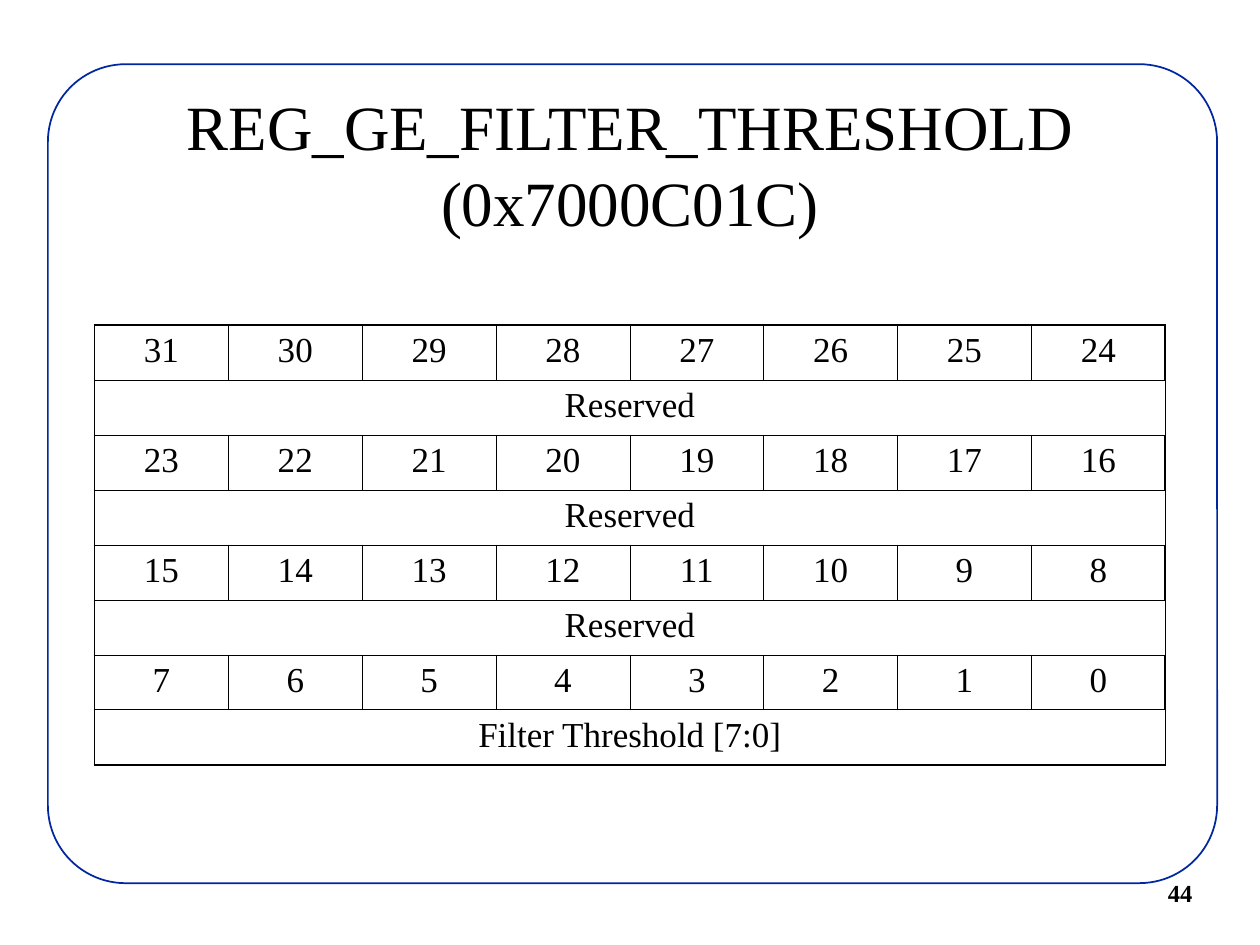
from lxml.etree import SubElement
from pptx import Presentation
from pptx.dml.color import RGBColor
from pptx.enum.shapes import MSO_SHAPE
from pptx.enum.text import MSO_ANCHOR, MSO_AUTO_SIZE, PP_ALIGN
from pptx.oxml.ns import qn
from pptx.util import Inches, Pt

BLACK = RGBColor(0x00, 0x00, 0x00)
WHITE = RGBColor(0xFF, 0xFF, 0xFF)
NAVY = RGBColor(0x00, 0x27, 0x9F)
FONT = "Times New Roman"

TITLE = "REG_GE_FILTER_THRESHOLD\n(0x7000C01C)"
PAGE_NUMBER = "44"
FIELDS = ["Reserved", "Reserved", "Reserved", "Filter Threshold [7:0]"]
BITS_PER_ROW = 8
TOP_BIT = len(FIELDS) * BITS_PER_ROW - 1

# left, top, width, height in inches
FRAME_BOX = (0.38, 0.51, 9.28, 6.5)
TITLE_BOX = (0.75, 0.67, 8.5, 1.25)
TABLE_BOX = (0.75, 2.58, 8.5, 3.49)
NUMBER_BOX = (9.17, 6.92, 1.08, 0.33)

OUTER_LINE = Pt(1.08)
INNER_LINE = Pt(0.45)


def inches(box):
    return [Inches(length) for length in box]


def write(text_frame, text, size, align=PP_ALIGN.CENTER, bold=False):
    paragraph = text_frame.paragraphs[0]
    paragraph.text = text
    paragraph.alignment = align
    for run in paragraph.runs:
        run.font.name = FONT
        run.font.size = Pt(size)
        run.font.bold = bold
        run.font.color.rgb = BLACK
    # A line break has its own size, which sets the height of its line
    for line_break in paragraph._p.findall(qn("a:br")):
        SubElement(line_break, qn("a:rPr"), sz=str(size * 100))


def set_borders(cell, **widths):
    """Draw black borders; the keywords are the sides L, R, T and B."""
    properties = cell._tc.get_or_add_tcPr()
    for side, width in widths.items():
        line = SubElement(properties, qn(f"a:ln{side}"), w=str(width))
        fill = SubElement(line, qn("a:solidFill"))
        SubElement(fill, qn("a:srgbClr"), val=str(BLACK))


def add_frame(slide):
    frame = slide.shapes.add_shape(MSO_SHAPE.ROUNDED_RECTANGLE, *inches(FRAME_BOX))
    frame.adjustments[0] = 0.095
    frame.shadow.inherit = False
    frame.fill.solid()
    frame.fill.fore_color.rgb = WHITE
    frame.line.color.rgb = NAVY
    frame.line.width = Pt(1)
    # Behind the title
    slide.shapes.title._element.addprevious(frame._element)


def add_title(slide):
    title = slide.shapes.title
    title.left, title.top, title.width, title.height = inches(TITLE_BOX)
    title.text_frame.auto_size = MSO_AUTO_SIZE.NONE
    title.text_frame.vertical_anchor = MSO_ANCHOR.MIDDLE
    write(title.text_frame, TITLE, 36)


def add_register_table(slide):
    """Alternate a row of bit numbers with one merged row naming the field."""
    row_count = 2 * len(FIELDS)
    table = slide.shapes.add_table(row_count, BITS_PER_ROW, *inches(TABLE_BOX)).table
    table.first_row = False
    table.horz_banding = False
    last_row, last_column = row_count - 1, BITS_PER_ROW - 1

    for row in range(row_count):
        for column in range(BITS_PER_ROW):
            cell = table.cell(row, column)
            set_borders(
                cell,
                L=OUTER_LINE if column == 0 else INNER_LINE,
                R=OUTER_LINE if column == last_column else INNER_LINE,
                T=OUTER_LINE if row == 0 else INNER_LINE,
                B=OUTER_LINE if row == last_row else INNER_LINE,
            )
            cell.fill.background()

    for index, field in enumerate(FIELDS):
        bit_row, field_row = 2 * index, 2 * index + 1
        for column in range(BITS_PER_ROW):
            bit = TOP_BIT - index * BITS_PER_ROW - column
            write(table.cell(bit_row, column).text_frame, str(bit), 20)
        field_cell = table.cell(field_row, 0)
        field_cell.merge(table.cell(field_row, last_column))
        write(field_cell.text_frame, field, 20)


def add_page_number(slide):
    number = slide.shapes.add_textbox(*inches(NUMBER_BOX))
    number.text_frame.word_wrap = True
    write(number.text_frame, PAGE_NUMBER, 14, align=PP_ALIGN.LEFT, bold=True)


def main():
    presentation = Presentation()
    presentation.slide_width, presentation.slide_height = inches((10, 7.5))
    slide = presentation.slides.add_slide(presentation.slide_layouts.get_by_name("Title Only"))
    add_frame(slide)
    add_page_number(slide)
    add_title(slide)
    add_register_table(slide)
    presentation.save("out.pptx")


if __name__ == "__main__":
    main()
